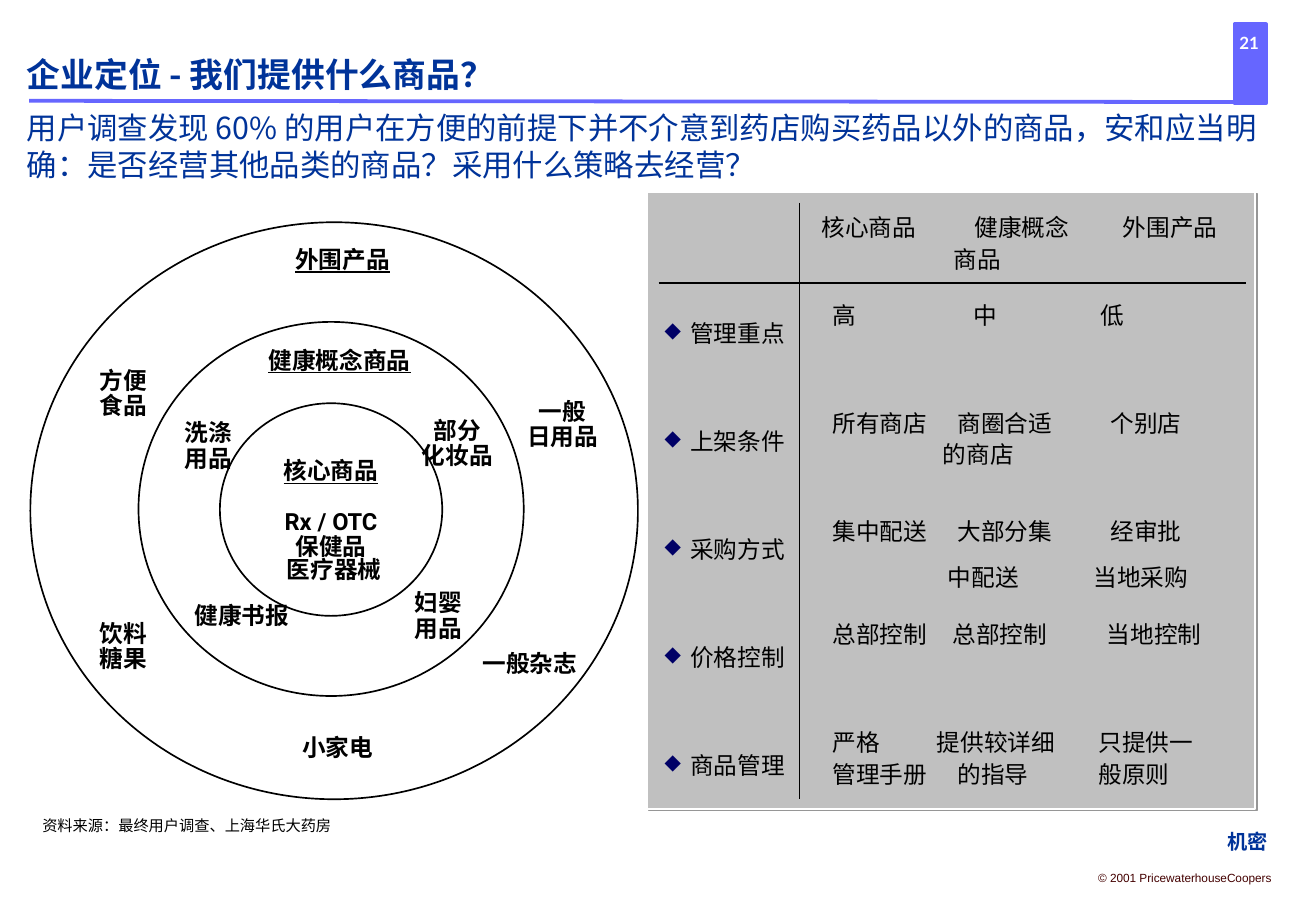
from lxml import etree
from pptx import Presentation
from pptx.dml.color import RGBColor
from pptx.enum.shapes import MSO_CONNECTOR as Connector, MSO_SHAPE as Shape
from pptx.enum.text import MSO_ANCHOR as Anchor, MSO_AUTO_SIZE as AutoSize, PP_ALIGN as Align
from pptx.oxml.ns import qn
from pptx.util import Inches, Pt

COLOURS = {"violet": "6666FF", "navy": "003399", "bullet": "000066", "maroon": "440000",
           "panel": "C0C0C0", "shadow": "969696", "white": "FFFFFF", "black": "000000"}
CJK = "Noto Sans CJK SC"
NO_GRID = "{2D5ABB26-0587-4C30-8999-92F81FD0307C}"
INSET = (0.1, 0.05, 0.1, 0.05)

STYLES = {
    "heading": {"size": 20, "bold": True, "colour": "navy"},
    "title": {"size": 18, "colour": "navy", "spacing": 21.9},
    "label": {"size": 14, "bold": True, "name": "Roboto", "spacing": 15, "align": Align.CENTER},
    "cell": {"size": 14, "spacing": 18.5},
    "source": {"size": 9},
    "number": {"size": 10, "bold": True, "name": "Lato", "colour": "white", "align": Align.CENTER},
    "copyright": {"size": 7, "name": "Arial", "colour": "maroon", "align": Align.CENTER},
    "secret": {"size": 12, "bold": True, "name": "Arial", "colour": "navy", "align": Align.CENTER},
}

RING_LABELS = [
    (2.11, 2.82, 1.37, ["健康概念商品"], True),
    (2.33, 1.99, 0.98, ["外围产品"], True),
    (2.25, 4.54, 1, ["医疗器械"], False),
    (1.42, 3.42, 0.59, ["洗涤", "用品"], False),
    (3.31, 4.82, 0.59, ["妇婴", "用品"], False),
    (3.33, 3.4, 0.87, ["部分", "化妆品"], False),
    (1.5, 4.92, 0.98, ["健康书报"], False),
    (0.72, 2.99, 0.59, ["方便", "食品"], False),
    (0.72, 5.07, 0.59, ["饮料", "糖果"], False),
    (2.39, 6.01, 0.78, ["小家电"], False),
    (3.87, 5.32, 0.98, ["一般杂志"], False),
    (4.24, 3.24, 0.78, ["一般", "日用品"], False),
]

COLUMN_WIDTHS = [1.16, 1.12, 1.3, 1.25]
ROW_HEIGHTS = [0.66, 0.89, 0.89, 0.89, 0.89, 0.69]
POLICY_ROWS = [
    ("", 0.08, [[(0.18, "核心商品")], [(0.32, "健康概念"), (0.15, "商品")], [(0.24, "外围产品")]]),
    ("管理重点", 0.14, [[(0.27, "高")], [(0.31, "中")], [(0.06, "低")]]),
    ("上架条件", 0.14, [[(0.27, "所有商店")], [(0.18, "商圈合适"), (0.06, "的商店")], [(0.14, "个别店")]]),
    ("采购方式", 0.14, [[(0.27, "集中配送")], [(0.18, "大部分集"), (0.1, "中配送")],
                    [(0.14, "经审批"), (0, "当地采购")]]),
    ("价格控制", 0.1, [[(0.27, "总部控制")], [(0.14, "总部控制")], [(0.11, "当地控制")]]),
    ("商品管理", 0.1, [[(0.27, "严格"), (0.27, "管理手册")], [(0.01, "提供较详细"), (0.18, "的指导")],
                   [(0.04, "只提供一"), (0.04, "般原则")]]),
]


class SlideBuilder:
    """Holds the text styles and the current slide, and draws each kind of element."""

    def __init__(self, slide, styles):
        self.slide, self.styles = slide, styles

    def colour(self, name):
        return RGBColor.from_string(COLOURS[name])

    def add_lines(self, frame, lines, style, underlined=(), gaps=None):
        style = self.styles[style]
        for index, line in enumerate(lines):
            paragraph = frame.paragraphs[0] if index == 0 else frame.add_paragraph()
            paragraph.alignment = style.get("align", Align.LEFT)
            paragraph.space_before = Pt((gaps or {}).get(index, 0))
            if "spacing" in style:
                paragraph.line_spacing = Pt(style["spacing"])
            run = paragraph.add_run()
            run.text = line
            values = {"name": style.get("name", CJK), "size": Pt(style["size"]),
                      "bold": style.get("bold", False), "underline": index in underlined}
            for key, value in values.items():
                setattr(run.font, key, value)
            run.font.color.rgb = self.colour(style.get("colour", "black"))
            etree.SubElement(run._r.get_or_add_rPr(), qn("a:ea"), typeface=CJK)

    def frame(self, frame, inset=INSET, anchor=Anchor.TOP, wrap=True):
        values = dict(zip(("margin_left", "margin_top", "margin_right", "margin_bottom"),
                          map(Inches, inset)))
        values.update(word_wrap=wrap, vertical_anchor=anchor, auto_size=AutoSize.NONE)
        for key, value in values.items():
            setattr(frame, key, value)
        return frame

    def text(self, box, lines, style, underlined=(), **layout):
        shape = self.slide.shapes.add_textbox(*map(Inches, box))
        self.add_lines(self.frame(shape.text_frame, **layout), lines, style, underlined)

    def title(self, box, line):
        shape = self.slide.shapes.title
        for key, value in zip(("left", "top", "width", "height"), box):
            setattr(shape, key, Inches(value))
        self.add_lines(self.frame(shape.text_frame, (0, 0, 0, 0), Anchor.BOTTOM), [line], "title")

    def shape(self, kind, box, fill=None, line="black", width=1):
        shape = self.slide.shapes.add_shape(kind, *map(Inches, box))
        shape.shadow.inherit = False
        if fill:
            shape.fill.solid()
            shape.fill.fore_color.rgb = self.colour(fill)
        else:
            shape.fill.background()
        shape.line.color.rgb = self.colour(line)
        shape.line.width = Pt(width)
        return shape

    def panel(self, box):
        shape = self.shape(Shape.RECTANGLE, box, "panel", "white")
        effects = shape._element.spPr.find(qn("a:effectLst"))
        shadow = etree.SubElement(effects, qn("a:outerShdw"), dist=str(Pt(1.4)), dir="2700000")
        etree.SubElement(shadow, qn("a:srgbClr"), val=COLOURS["shadow"])

    def line(self, ends, colour="black", width=1):
        connector = self.slide.shapes.add_connector(Connector.STRAIGHT, *map(Inches, ends))
        connector.line.color.rgb = self.colour(colour)
        connector.line.width = Pt(width)
        etree.SubElement(connector._element.spPr, qn("a:effectLst"))

    def indent(self, paragraph, left, bullet=False):
        properties = paragraph._p.get_or_add_pPr()
        properties.set("marL", str(Inches(left)))
        properties.set("indent", str(Inches(-0.21 if bullet else 0)))
        if bullet:
            colour = etree.SubElement(properties, qn("a:buClr"))
            etree.SubElement(colour, qn("a:srgbClr"), val=COLOURS["bullet"])
            etree.SubElement(properties, qn("a:buSzPct"), val="90000")
            etree.SubElement(properties, qn("a:buChar"), char="◆")

    def cell(self, cell, lines, top, bullet=False, gap=0):
        cell.fill.background()
        cell.margin_left = cell.margin_right = cell.margin_bottom = 0
        cell.margin_top = Inches(top)
        self.add_lines(cell.text_frame, [line for _, line in lines], "cell", gaps={1: gap})
        for paragraph, (left, _) in zip(cell.text_frame.paragraphs, lines):
            self.indent(paragraph, left, bullet)

    def table(self, left, top, rows):
        size = (sum(COLUMN_WIDTHS), sum(ROW_HEIGHTS))
        graphic = self.slide.shapes.add_table(len(rows), len(COLUMN_WIDTHS),
                                              *map(Inches, (left, top, *size)))
        graphic._element.find(".//" + qn("a:tableStyleId")).text = NO_GRID
        table = graphic.table
        table.first_row = table.horz_banding = False
        for column, width in zip(table.columns, COLUMN_WIDTHS):
            column.width = Inches(width)
        for index, (name, offset, cells) in enumerate(rows):
            table.rows[index].height = Inches(ROW_HEIGHTS[index])
            heading = [(0.26, name)] if name else []
            self.cell(table.cell(index, 0), heading, 0.29 if name else 0, bullet=True)
            for column, lines in enumerate(cells, 1):
                gap = 8.8 if name == "采购方式" else 0
                self.cell(table.cell(index, column), lines, offset, gap=gap)


def main():
    presentation = Presentation()
    presentation.slide_width, presentation.slide_height = Inches(10.83), Inches(7.5)
    slide = presentation.slides.add_slide(presentation.slide_layouts[5])
    builder = SlideBuilder(slide, STYLES)

    builder.shape(Shape.RECTANGLE, (10.16, 0.2, 0.26, 0.65), "violet", "violet", 2.25)
    builder.line((0.24, 0.83, 10.28, 0.84), "violet", 2.25)
    builder.text((9.93, 0.25, 0.7, 0.2), ["21"], "number", inset=(0, 0, 0, 0), anchor=Anchor.MIDDLE)
    builder.text((8.94, 7.12, 1.62, 0.22), ["© 2001 PricewaterhouseCoopers"], "copyright",
                 anchor=Anchor.MIDDLE, wrap=False)
    builder.text((10, 6.78, 0.53, 0.3), ["机密"], "secret", anchor=Anchor.MIDDLE, wrap=False)

    builder.text((0.22, 0.18, 9.71, 0.6), ["企业定位 - 我们提供什么商品？"], "heading",
                 inset=(0, 0, 0, 0), anchor=Anchor.BOTTOM)
    builder.title((0.22, 0.75, 10.19, 0.75),
                  "用户调查发现 60% 的用户在方便的前提下并不介意到药店购买药品以外的商品，"
                  "安和应当明确：是否经营其他品类的商品？采用什么策略去经营？")

    for box in ((0.25, 1.83, 5, 4.75), (1.14, 2.65, 3.17, 3.08)):
        builder.shape(Shape.OVAL, box)
    core = builder.shape(Shape.OVAL, (1.81, 3.32, 1.83, 1.75))
    builder.add_lines(builder.frame(core.text_frame, anchor=Anchor.MIDDLE),
                      ["核心商品", "Rx / OTC", "保健品"], "label", underlined=(0,), gaps={1: 15})
    for left, top, width, lines, underlined in RING_LABELS:
        builder.text((left, top, width, 0.26 * len(lines) + 0.05), lines, "label",
                     underlined=(0,) if underlined else (), wrap=False)

    builder.panel((5.33, 1.58, 5, 5.08))
    builder.table(5.42, 1.67, POLICY_ROWS)
    builder.line((5.42, 2.33, 10.25, 2.33))
    builder.line((6.58, 1.67, 6.58, 6.58))
    builder.text((0.25, 6.67, 2.67, 0.25), ["资料来源：最终用户调查、上海华氏大药房"], "source")
    presentation.save("out.pptx")


if __name__ == "__main__":
    main()
